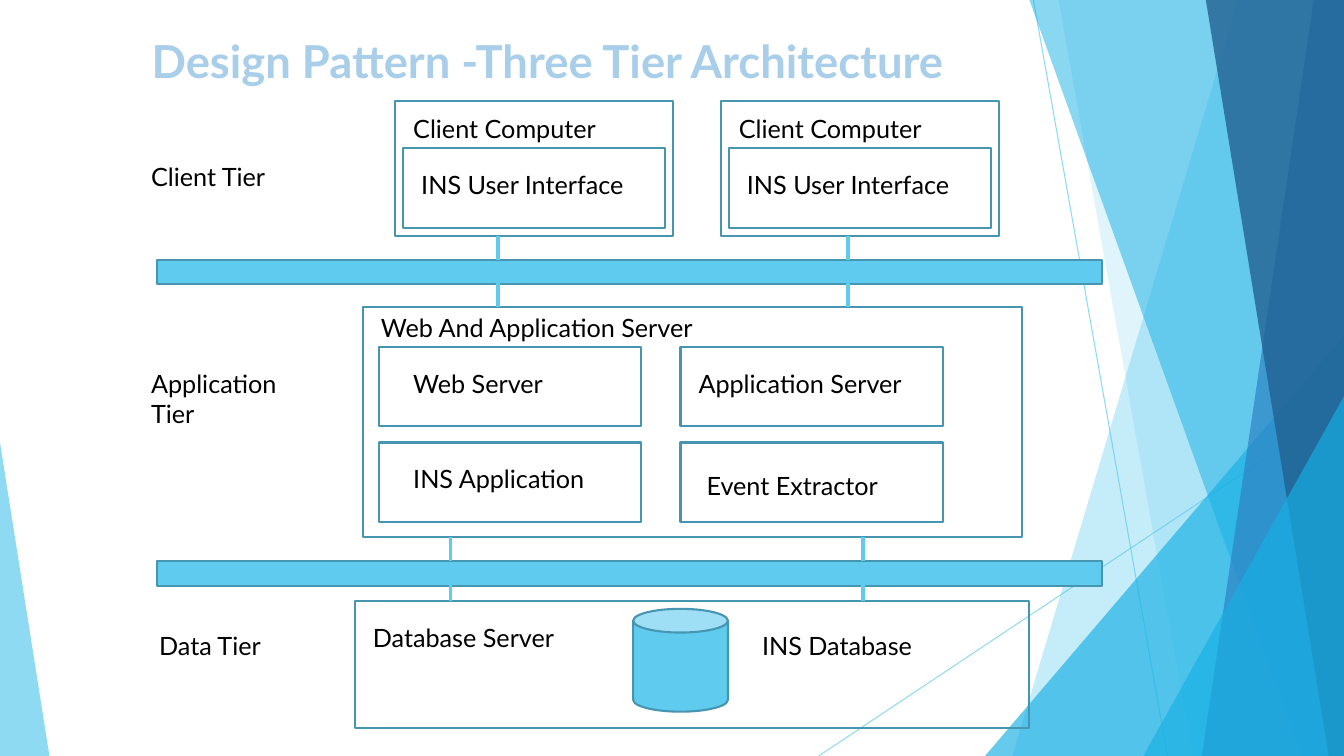
import pptx
import pptx.dml.color
import pptx.enum.shapes
import pptx.enum.text
import pptx.oxml
import pptx.oxml.ns
import pptx.util

Inches = pptx.util.Inches
Pt = pptx.util.Pt
RGBColor = pptx.dml.color.RGBColor
MSO_SHAPE = pptx.enum.shapes.MSO_SHAPE
PP_ALIGN = pptx.enum.text.PP_ALIGN

SKY = RGBColor(0x5F, 0xCB, 0xEF)
CYAN = RGBColor(0x17, 0xB0, 0xE4)
BLUE = RGBColor(0x2E, 0x83, 0xC3)
NAVY = RGBColor(0x22, 0x62, 0x92)
EDGE = RGBColor(0x46, 0x96, 0xB1)
TITLE = RGBColor(0xA8, 0xCE, 0xEA)
BLACK = RGBColor(0, 0, 0)
FONT = "Lato"
WIDTH, HEIGHT = 13.33, 7.5
INNER_W, INNER_H = 2.6, 0.79


def set_alpha(fill_parent, percent):
    """Make the solid colour below an element partly transparent."""
    clr = fill_parent.find(".//" + pptx.oxml.ns.qn("a:srgbClr"))
    alpha = pptx.oxml.parse_xml(
        f'<a:alpha {pptx.oxml.ns.nsdecls("a")} val="{percent * 1000}"/>')
    clr.append(alpha)


def tint(sp, colour, alpha):
    """Give a background shape a transparent fill and no line."""
    sp.shadow.inherit = False
    sp.fill.solid()
    sp.fill.fore_color.rgb = colour
    sp.line.fill.background()
    set_alpha(sp._element.spPr, alpha)


def add_band(s, top_x, bottom_x, right_x, colour, alpha):
    """Add a full-height band between a slanted edge and the right edge."""
    points = [(right_x, 0), (right_x, HEIGHT), (bottom_x, HEIGHT)]
    builder = s.shapes.build_freeform(Inches(top_x), 0)
    builder.add_line_segments([(Inches(x), Inches(y)) for x, y in points])
    tint(builder.convert_to_shape(), colour, alpha)


def add_corner(s, x, y, w, apex, colour, alpha):
    """Add a right triangle that stands on the bottom edge."""
    sp = s.shapes.add_shape(MSO_SHAPE.ISOSCELES_TRIANGLE, Inches(x), Inches(y),
                            Inches(w), Inches(HEIGHT - y))
    sp.adjustments[0] = apex
    tint(sp, colour, alpha)


def add_line(s, x1, y1, x2, y2, width, alpha=100):
    """Add a straight sky-blue line."""
    line = s.shapes.add_connector(pptx.enum.shapes.MSO_CONNECTOR.STRAIGHT,
                                  Inches(x1), Inches(y1), Inches(x2), Inches(y2))
    line.line.color.rgb = SKY
    line.line.width = Pt(width)
    spPr = line._element.spPr
    spPr.append(pptx.oxml.parse_xml(f'<a:effectLst {pptx.oxml.ns.nsdecls("a")}/>'))
    if alpha < 100:
        set_alpha(spPr, alpha)


def add_box(s, x, y, w, h, fill=None, kind=MSO_SHAPE.RECTANGLE):
    """Add an outlined shape, hollow unless a fill is given."""
    sp = s.shapes.add_shape(kind, Inches(x), Inches(y), Inches(w), Inches(h))
    sp.shadow.inherit = False
    sp.line.color.rgb = EDGE
    sp.line.width = Pt(1.5)
    if fill is None:
        sp.fill.background()
    else:
        sp.fill.solid()
        sp.fill.fore_color.rgb = fill


def add_text(s, text, x, y, w, h=0.4, size=18, colour=BLACK, bold=False,
             align=PP_ALIGN.LEFT):
    """Add a wrapped text box."""
    tf = s.shapes.add_textbox(Inches(x), Inches(y), Inches(w), Inches(h)).text_frame
    tf.word_wrap = True
    tf.text = text
    for p in tf.paragraphs:
        p.alignment = align
        for r in p.runs:
            r.font.name = FONT
            r.font.size = Pt(size)
            r.font.bold = bold
            r.font.color.rgb = colour


def add_backdrop(s):
    """Add the translucent facets on both sides of the slide."""
    add_line(s, 10.25, 0, 11.58, HEIGHT, 0.75, 70)
    add_line(s, WIDTH, 4.03, 8.12, HEIGHT, 0.75, 70)
    add_band(s, 12.28, 10.04, WIDTH, SKY, 36)
    add_band(s, 10.5, 11.83, WIDTH, SKY, 20)
    add_corner(s, 9.77, 3.33, 3.56, 1, CYAN, 66)
    add_band(s, 10.21, 12.91, WIDTH, CYAN, 50)
    add_band(s, 13.03, 11.92, WIDTH, BLUE, 70)
    add_band(s, 11.96, 13.18, WIDTH, NAVY, 80)
    add_corner(s, 11.34, 3.93, 1.99, 1, CYAN, 66)
    add_corner(s, 0, 4.39, 0.49, 0, SKY, 70)


def add_client(s, x):
    """Add one client computer with its user interface."""
    add_box(s, x, 1, 2.76, 1.34)
    add_box(s, x + 0.08, 1.47, INNER_W, INNER_H)
    add_text(s, "Client Computer", x + 0.08, 1.08, INNER_W)
    add_text(s, "INS User Interface", x + 0.16, 1.63, 2.36)


def add_bus(s, y, link_xs, link_spans):
    """Add a bar between two tiers and the links that reach it."""
    add_box(s, 1.56, y, 9.37, 0.24, SKY)
    for top, bottom in link_spans:
        for x in link_xs:
            add_line(s, x, top, x, bottom, 2.5)


def add_application_server(s):
    """Add the application tier with its grid of four modules."""
    add_box(s, 3.6, 3.05, 6.54, 2.28)
    add_text(s, "Web And Application Server", 3.68, 3.05, 3.54)
    for x in (3.76, 6.75):
        for y in (3.44, 4.39):
            add_box(s, x, y, INNER_W, INNER_H)
    add_text(s, "Web Server", 4, 3.6, 2.13)
    add_text(s, "Application Server", 6.83, 3.6, 2.44)
    add_text(s, "INS Application", 4, 4.55, 2.05)
    add_text(s, "Event Extractor", 6.91, 4.62, 1.97)


def add_database_server(s):
    """Add the data tier with its database."""
    add_box(s, 3.52, 5.96, 6.69, 1.26)
    add_text(s, "Database Server", 3.6, 6.12, 2.36)
    add_box(s, 6.28, 6.04, 0.94, 1.02, SKY, MSO_SHAPE.CAN)
    add_text(s, "INS Database", 7.46, 6.2, 2.13)


def main():
    """Build the three tier slide."""
    prs = pptx.Presentation()
    prs.slide_width, prs.slide_height = Inches(WIDTH), Inches(HEIGHT)
    s = prs.slides.add_slide(prs.slide_layouts[6])
    add_backdrop(s)
    add_text(s, "Design Pattern -Three Tier Architecture", 0.73, 0.28, 9.4, 1.44,
             32.4, TITLE, True, PP_ALIGN.CENTER)
    add_text(s, "Client Tier", 1.4, 1.55, 2.05)
    add_text(s, "Application\nTier", 1.4, 3.6, 1.65, 0.71)
    add_text(s, "Data Tier", 1.48, 6.2, 1.34)
    for x in (3.92, 7.15):
        add_client(s, x)
    add_application_server(s)
    add_database_server(s)
    add_bus(s, 2.58, (4.94, 8.41), ((2.34, 2.58), (2.81, 3.05)))
    add_bus(s, 5.57, (4.47, 8.56), ((5.33, 5.57), (5.73, 5.96)))
    prs.save("out.pptx")


main()
